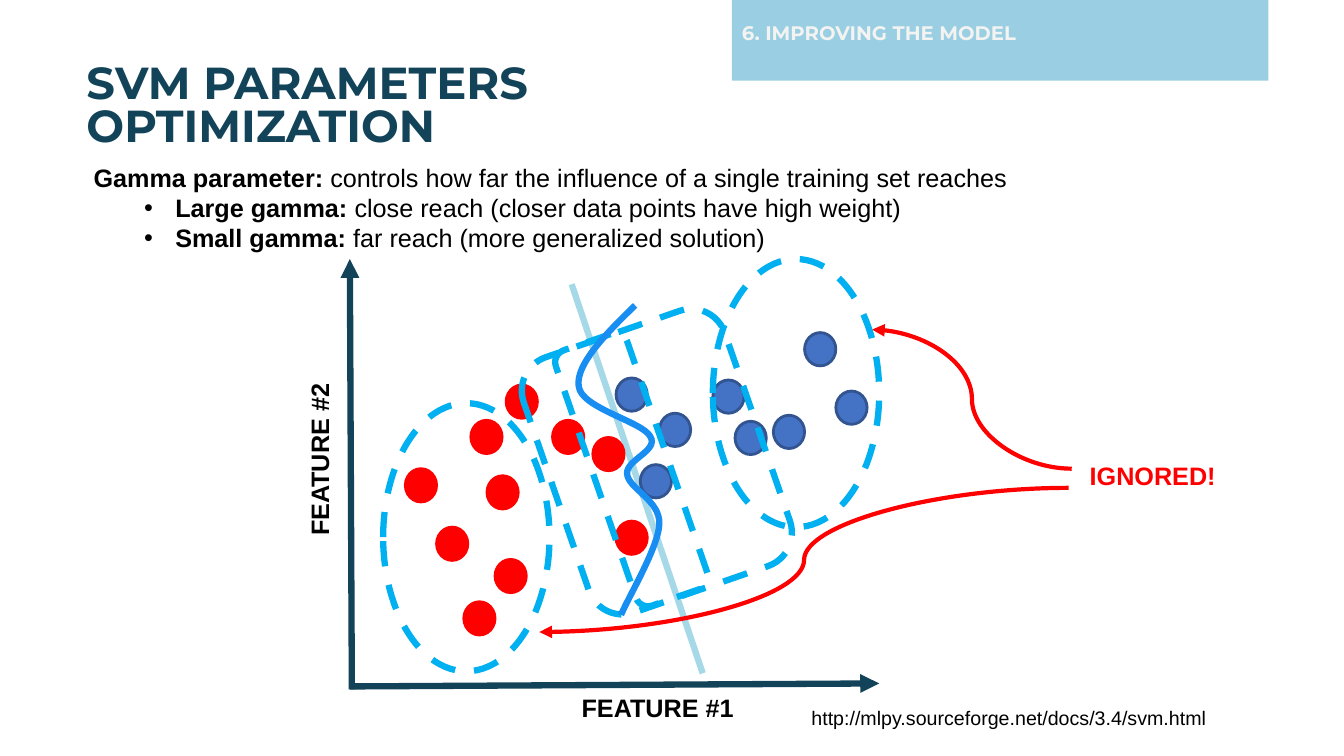
from lxml.etree import SubElement
from pptx import Presentation
from pptx.dml.color import RGBColor
from pptx.enum.dml import MSO_LINE
from pptx.enum.shapes import MSO_CONNECTOR, MSO_SHAPE
from pptx.enum.text import MSO_ANCHOR
from pptx.oxml.ns import qn
from pptx.util import Inches, Pt

NAVY, BLACK, RED, CYAN = "124359", "000000", "FF0000", "00B0F0"


def color(hex_string):
    return RGBColor.from_string(hex_string)


def add_text(box, runs, size, hex_string, font="Arial", wrap=True):
    left, top, width, height = map(Inches, box)
    shape = slide.shapes.add_textbox(left, top, width, height)
    shape.text_frame.word_wrap = wrap
    paragraph = shape.text_frame.paragraphs[0]
    for text, bold in runs:
        run = paragraph.add_run()
        run.text = text
        run.font.name, run.font.size, run.font.bold = font, Pt(size), bold
        run.font.color.rgb = color(hex_string)
    return shape


presentation = Presentation()
presentation.slide_width = Inches(13.33)
presentation.slide_height = Inches(7.5)
slide = presentation.slides.add_slide(presentation.slide_layouts[6])

banner = slide.shapes.add_shape(
    MSO_SHAPE.RECTANGLE, Inches(7.26), Inches(-0.01), Inches(5.32), Inches(0.81))
banner.shadow.inherit = False
banner.fill.solid()
banner.fill.fore_color.rgb = color("9ACFE3")
banner.line.fill.background()

for box, text, size, hex_string, spacing in [
    ((7.26, 0.04, 5.32, 0.59), "6. IMPROVING THE MODEL", 14, "F3F3F1", 0.9),
    ((0.76, 0.79, 6.5, 0.56), "SVM PARAMETERS OPTIMIZATION", 32, NAVY, 0.8),
]:
    heading = add_text(box, [(text, True)], size, hex_string, "Montserrat")
    heading.text_frame.vertical_anchor = MSO_ANCHOR.MIDDLE
    heading.text_frame.paragraphs[0].line_spacing = spacing

explanation = add_text((0.83, 1.56, 11.01, 1.01), [
    ("Gamma parameter: ", True),
    ("controls how far the influence of a single training set reaches", False),
], 18, BLACK)
for term, meaning in [
    ("Large gamma: ", "close reach (closer data points have high weight)"),
    ("Small gamma: ", "far reach (more generalized solution)"),
]:
    paragraph = explanation.text_frame.add_paragraph()
    paragraph.level = 1
    properties = paragraph._p.get_or_add_pPr()
    properties.set("marL", str(Inches(0.81)))
    properties.set("indent", str(Inches(-0.31)))
    SubElement(properties, qn("a:buFont")).set("typeface", "Arial")
    SubElement(properties, qn("a:buChar")).set("char", "•")
    for text, bold in [(term, True), (meaning, False)]:
        run = paragraph.add_run()
        run.text = text
        run.font.name, run.font.size, run.font.bold = "Arial", Pt(18), bold
        run.font.color.rgb = color(BLACK)

BLUE_DOT, RED_DOT = ("4472C4", "325491"), (RED, RED)
dots = [
    (BLUE_DOT, [(6.54, 4.1), (7.07, 3.77), (7.29, 4.18), (8.29, 3.88),
                (7.98, 3.3), (7.67, 4.12)]),
    (RED_DOT, [(4.33, 5.23), (4.02, 4.65), (4.67, 4.17), (4.83, 4.72), (4.91, 5.55),
               (4.6, 5.97), (5.88, 4.34), (5.48, 4.17), (5.02, 3.82), (6.11, 5.17)]),
    (BLUE_DOT, [(6.11, 3.75), (6.35, 4.61)]),
]
straight, curve = MSO_CONNECTOR.STRAIGHT, MSO_CONNECTOR.CURVE
axes_and_boundary = [
    (straight, (3.47, 6.81), (8.72, 6.78), NAVY, 4.5, True),
    (straight, (3.49, 6.84), (3.47, 2.57), NAVY, 4.5, True),
    (straight, (5.67, 2.82), (6.97, 6.68), "A5D9E7", 4.5, False),
]
ignored_arrows = [
    (curve, (10.63, 4.65), (8.65, 3.27), RED, 3, True),
    (curve, (10.6, 4.84), (5.35, 6.27), RED, 3, True),
]
ellipse, rounded = MSO_SHAPE.OVAL, MSO_SHAPE.ROUNDED_RECTANGLE
regions = [
    (ellipse, (7.07, 2.57, 1.65, 2.66), 0),
    (ellipse, (3.8, 4, 1.65, 2.66), 0),
    (rounded, (5.89, 3.32, 0.75, 2.68), 340.9),
    (rounded, (5.46, 3.24, 2.11, 2.68), 340.9),
]

for kind, start, end, hex_string, width, arrow in axes_and_boundary + ignored_arrows:
    connector = slide.shapes.add_connector(kind, *map(Inches, start + end))
    connector.line.color.rgb = color(hex_string)
    connector.line.width = Pt(width)
    if arrow:
        SubElement(connector.line._get_or_add_ln(), qn("a:tailEnd")).set("type", "triangle")
    SubElement(connector._element.spPr, qn("a:effectLst"))

for (fill, outline), positions in dots:
    for left, top in positions:
        dot = slide.shapes.add_shape(
            ellipse, Inches(left), Inches(top), Inches(0.31), Inches(0.33))
        dot.shadow.inherit = False
        dot.fill.solid()
        dot.fill.fore_color.rgb = color(fill)
        dot.line.color.rgb = color(outline)
        dot.line.width = Pt(2)

for kind, box, rotation in regions:
    region = slide.shapes.add_shape(kind, *map(Inches, box))
    region.shadow.inherit = False
    region.rotation = rotation
    region.fill.background()
    region.line.color.rgb = color(CYAN)
    region.line.width = Pt(4.5)
    region.line.dash_style = MSO_LINE.DASH

for box, text, size, hex_string, bold, rotation in [
    ((5.67, 6.82, 1.71, 0.4), "FEATURE #1", 18, BLACK, True, 0),
    ((2.31, 4.36, 1.71, 0.4), "FEATURE #2", 18, BLACK, True, 270),
    ((7.95, 6.95, 4.14, 0.34), "http://mlpy.sourceforge.net/docs/3.4/svm.html",
     14, BLACK, False, 0),
    ((10.71, 4.52, 1.46, 0.4), "IGNORED!", 18, RED, True, 0),
]:
    label = add_text(box, [(text, bold)], size, hex_string, wrap=False)
    label.rotation = rotation

controls = [
    (6, 3.32), (5.71, 3.62), (5.74, 3.83),
    (5.76, 4.05), (6.37, 4.18), (6.45, 4.33),
    (6.54, 4.47), (6.21, 4.56), (6.22, 4.7),
    (6.23, 4.85), (6.55, 4.96), (6.54, 5.2),
    (6.53, 5.43), (6.23, 5.93), (6.16, 6.1),
]
builder = slide.shapes.build_freeform(Inches(6.3), Inches(3.03))
builder.add_line_segments([(Inches(x), Inches(y)) for x, y in controls], close=False)
boundary = builder.convert_to_shape()
segments = list(boundary._element.iter(qn("a:lnTo")))
for index in range(0, len(segments), 3):
    bezier = SubElement(segments[index].getparent(), qn("a:cubicBezTo"))
    for segment in segments[index:index + 3]:
        bezier.append(segment[0])
        segment.getparent().remove(segment)
boundary.shadow.inherit = False
boundary.fill.background()
boundary.line.color.rgb = color("188EF2")
boundary.line.width = Pt(4.5)

presentation.save("out.pptx")
